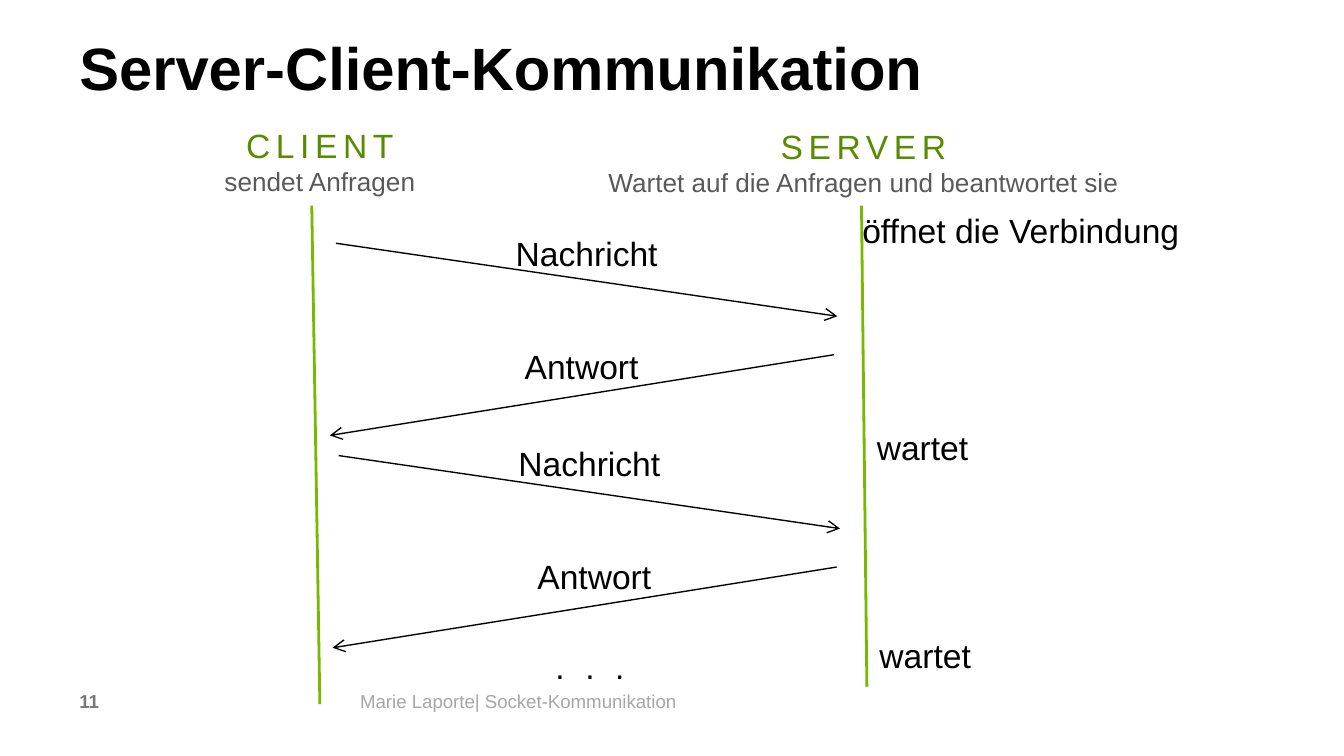
import pptx
import pptx.dml.color
import pptx.enum.shapes
import pptx.enum.text
import pptx.oxml.ns
import pptx.util
import lxml.etree

COLORS = {
    "black": "000000",
    "lifeline": "76B900",
    "heading": "598B00",
    "caption": "595959",
    "footer": "A6A6A6",
    "number": "787878",
}
CELL = pptx.util.Inches(0.1)
COLUMNS, ROWS = 100, 56.25
LABEL_WIDTH, LABEL_HEIGHT = 16.2, 4
LIFELINE_TOP = 15.3
CENTER = pptx.enum.text.PP_ALIGN.CENTER


def cells(*counts):
    """Convert grid cell counts to slide lengths."""
    return [round(count * CELL) for count in counts]


def style(paragraph, size, color, bold=False, tracking=0, align=None):
    """Format a paragraph and its runs."""
    paragraph.alignment = align
    for run in paragraph.runs:
        run.font.name = "Arial"
        run.font.size = pptx.util.Pt(size)
        run.font.bold = bold
        run.font.color.rgb = pptx.dml.color.RGBColor.from_string(COLORS[color])
        if tracking:
            run.font._element.set("spc", str(tracking * 100))


def add_text(slide, box, text, inset=True):
    """Place wrapped text in a grid box and return its paragraphs."""
    frame = slide.shapes.add_textbox(*cells(*box)).text_frame
    frame.word_wrap = True
    if not inset:
        frame.margin_left = frame.margin_right = 0
        frame.margin_top = frame.margin_bottom = 0
    frame.text = text
    return frame.paragraphs


def add_line(slide, start, end, color, width, arrow=False):
    """Draw a straight line, with an arrowhead at its end if wanted."""
    line = slide.shapes.add_connector(
        pptx.enum.shapes.MSO_CONNECTOR.STRAIGHT, *cells(*start, *end))
    line.line.color.rgb = pptx.dml.color.RGBColor.from_string(COLORS[color])
    line.line.width = pptx.util.Pt(width)
    if arrow:
        lxml.etree.SubElement(line.line._get_or_add_ln(),
                              pptx.oxml.ns.qn("a:tailEnd"), type="arrow")
    lxml.etree.SubElement(line._element.spPr, pptx.oxml.ns.qn("a:effectLst"))


def add_label(slide, center, top, text, width=LABEL_WIDTH, tracking=0):
    """Place a label centred on a column."""
    box = (center - width / 2, top, width, LABEL_HEIGHT)
    style(add_text(slide, box, text)[0], 18, "black", tracking=tracking, align=CENTER)


def add_title(slide, box, text):
    """Place the slide title."""
    title = add_text(slide, box, text, inset=False)[0]
    title.line_spacing = pptx.util.Pt(34)
    style(title, 32, "black", bold=True)


def add_participant(slide, box, name, role, head, foot):
    """Place a participant's name and role above its lifeline."""
    left, top, width, height = box
    heading, caption = add_text(slide, (left, top, width, 6.4), f"{name}\n{role}")
    style(heading, 18, "heading", tracking=3, align=CENTER)
    style(caption, 14, "caption", align=CENTER)
    add_line(slide, (left + head, LIFELINE_TOP), (left + foot, top + height),
             "lifeline", 1.5)


def add_exchange(slide, box, answer_center, drops):
    """Draw a message, its answer and the server's waiting state."""
    left, top, width, height = box
    right = left + width
    add_line(slide, (left, top), (right, top + 0.38 * height), "black", 0.75, arrow=True)
    add_line(slide, (right - 0.25, top + 0.58 * height), (left - 0.45, top + height),
             "black", 0.75, arrow=True)
    texts = ("Nachricht", "Antwort", "wartet")
    centers = (0.5, answer_center, 1.17)
    for text, across, down in zip(texts, centers, drops):
        add_label(slide, left + across * width, top + down * height, text)


def add_footer(slide, box, number, text):
    """Place the slide number and the footer text."""
    left, top, width, height = box
    numbering = add_text(slide, (left, top, 18.9, height), number, inset=False)
    style(numbering[0], 10, "number", bold=True)
    credit = add_text(slide, (left + 20.9, top, width - 20.9, height), text, inset=False)
    style(credit[0], 10, "footer")


def main():
    """Build and save the slide."""
    presentation = pptx.Presentation()
    presentation.slide_width, presentation.slide_height = cells(COLUMNS, ROWS)
    slide = presentation.slides.add_slide(presentation.slide_layouts[6])
    add_footer(slide, (5.9, 51.3, 80.9, 2), "11", "Marie Laporte| Socket-Kommunikation")
    add_title(slide, (5.9, 2.9, 82.3, 4.8), "Server-Client-Kommunikation")
    add_participant(slide, (15.7, 8.8, 16.2, 43.6), "CLIENT", "sendet Anfragen", 7.5, 8.1)
    add_participant(slide, (41.8, 8.9, 44.9, 42.2), "SERVER",
                    "Wartet auf die Anfragen und beantwortet sie", 22.3, 22.7)
    add_label(slide, 75.95, 15.1, "öffnet die Verbindung", width=26.9)
    add_exchange(slide, (25, 18.1, 37.3, 14.3), 0.49, (-0.09, 0.5, 0.92))
    add_exchange(slide, (25.2, 33.9, 37.3, 14.3), 0.51, (-0.1, 0.49, 0.9))
    add_label(slide, 43.9, 47.6, ". . .", tracking=3)
    presentation.save("out.pptx")


if __name__ == "__main__":
    main()
